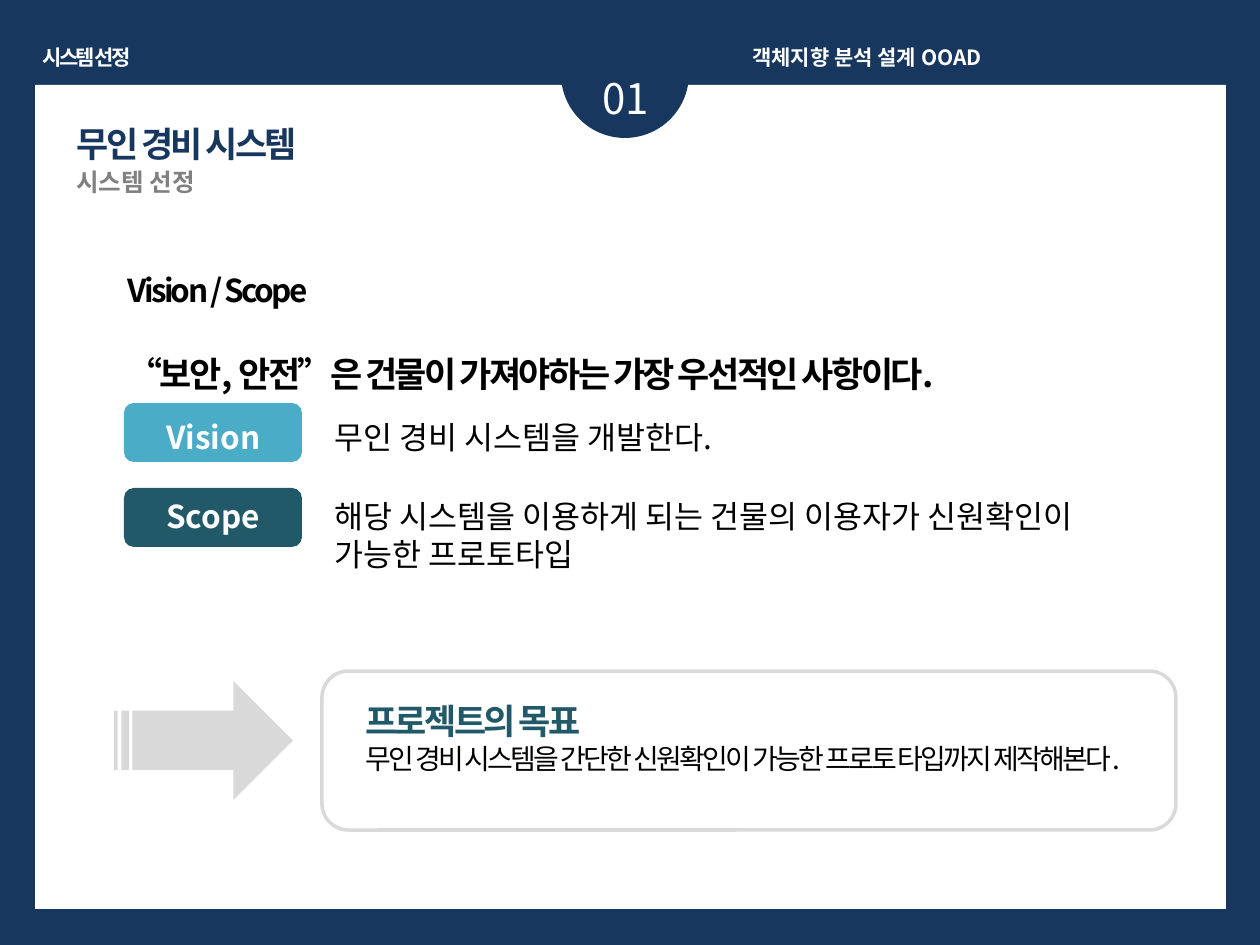
from dataclasses import dataclass

from lxml.etree import SubElement
from pptx import Presentation
from pptx.dml.color import RGBColor
from pptx.enum.shapes import MSO_SHAPE
from pptx.enum.text import PP_ALIGN
from pptx.oxml.ns import qn
from pptx.util import Emu, Pt

SCALE = 914400 / 126


@dataclass(frozen=True)
class Theme:
    navy: str = "17375E"
    teal: str = "215968"
    sky: str = "4AACC6"
    white: str = "FFFFFF"
    black: str = "000000"
    gray: str = "808080"
    pale: str = "D9D9D9"
    font: str = "Noto Sans CJK KR"
    title: str = "Arial"
    head: int = 20
    body: int = 18
    note: int = 16
    sub: int = 14
    top: int = 12
    mark: int = 24
    tight: int = -150


@dataclass(frozen=True)
class Box:
    x: int
    y: int
    w: int
    h: int


@dataclass(frozen=True)
class Row:
    label: str
    text: str
    fill: str
    top: int
    line: int
    width: int
    high: int


THEME = Theme()


def px(num: int) -> Emu:
    return Emu(round(num * SCALE))


def place(box: Box) -> tuple:
    return px(box.x), px(box.y), px(box.w), px(box.h)


def draw(slide, kind, box: Box, fill: str = "", line: str = "") -> None:
    shape = slide.shapes.add_shape(kind, *place(box))
    shape.shadow.inherit = False
    if fill:
        shape.fill.solid()
        shape.fill.fore_color.rgb = RGBColor.from_string(fill)
    else:
        shape.fill.background()
    if line:
        shape.line.color.rgb = RGBColor.from_string(line)
        shape.line.width = Pt(2)
    else:
        shape.line.fill.background()


def frame(slide, box: Box, wrap: bool = True):
    body = slide.shapes.add_textbox(*place(box)).text_frame
    body.word_wrap = wrap
    return body


def write(para, text: str, *, size: int = THEME.body, color: str = THEME.black,
          bold: bool = False, track: int = 0, font: str = THEME.font,
          align=PP_ALIGN.LEFT, space: float = 1.0) -> None:
    para.alignment = align
    para.line_spacing = space
    run = para.add_run()
    run.text = text
    run.font.size = Pt(size)
    run.font.bold = bold
    run.font.name = font
    run.font.color.rgb = RGBColor.from_string(color)
    props = run.font._element
    SubElement(props, qn("a:ea")).set("typeface", THEME.font)
    if track:
        props.set("spc", str(track))


def label(slide, box: Box, text: str, wrap: bool = True, **style) -> None:
    write(frame(slide, box, wrap).paragraphs[0], text, **style)


def head(slide) -> None:
    t = THEME
    label(slide, Box(25, 38, 123, 38), "시스템 선정", wrap=False, size=t.top,
          color=t.white, bold=True, track=t.tight, align=PP_ALIGN.CENTER)
    label(slide, Box(740, 38, 496, 38), "객체지향 분석 설계 OOAD", size=t.top,
          color=t.white, bold=True, align=PP_ALIGN.JUSTIFY)
    draw(slide, MSO_SHAPE.RECTANGLE, Box(35, 85, 1191, 824), t.white)
    draw(slide, MSO_SHAPE.OVAL, Box(561, 10, 128, 128), t.navy)
    label(slide, Box(551, 66, 149, 63), "01", size=t.mark, color=t.white,
          align=PP_ALIGN.CENTER)
    label(slide, Box(64, 116, 273, 106), "무인 경비 시스템", size=t.head,
          color=t.navy, bold=True, track=t.tight, font=t.title)
    label(slide, Box(64, 161, 446, 43), "시스템 선정", size=t.sub,
          color=t.gray, bold=True)


def scope(slide) -> None:
    t = THEME
    label(slide, Box(115, 265, 932, 50), "Vision / Scope", bold=True,
          track=t.tight)
    label(slide, Box(115, 304, 1071, 84),
          "“보안, 안전”은 건물이 가져야하는 가장 우선적인 사항이다.",
          size=t.head, bold=True, track=t.tight, space=2.0)
    rows = (
        Row("Vision", "무인 경비 시스템을 개발한다.", t.sky, 403, 412, 586, 50),
        Row("Scope", "해당 시스템을 이용하게 되는 건물의 이용자가 신원확인이 "
            "가능한 프로토타입", t.teal, 488, 491, 843, 89),
    )
    for row in rows:
        draw(slide, MSO_SHAPE.ROUNDED_RECTANGLE, Box(124, row.top, 178, 59),
             row.fill)
        label(slide, Box(154, row.line, 129, 50), row.label, color=t.white,
              bold=True)
        label(slide, Box(322, row.line, row.width, row.high), row.text)


def goal(slide) -> None:
    t = THEME
    draw(slide, MSO_SHAPE.STRIPED_RIGHT_ARROW, Box(114, 681, 179, 119), t.pale)
    draw(slide, MSO_SHAPE.ROUNDED_RECTANGLE, Box(322, 671, 854, 159),
         line=t.pale)
    body = frame(slide, Box(353, 651, 794, 165))
    write(body.paragraphs[0], "프로젝트의 목표", size=t.head, color=t.teal,
          bold=True, track=t.tight, space=2.0)
    write(body.add_paragraph(),
          "무인 경비 시스템을 간단한 신원확인이 가능한 프로토 타입까지 제작해본다.",
          size=t.note, track=t.tight)


def main() -> None:
    deck = Presentation()
    deck.slide_width, deck.slide_height = px(1260), px(945)
    slide = deck.slides.add_slide(deck.slide_layouts[6])
    slide.background.fill.solid()
    slide.background.fill.fore_color.rgb = RGBColor.from_string(THEME.navy)
    head(slide)
    scope(slide)
    goal(slide)
    deck.save("out.pptx")


if __name__ == "__main__":
    main()
